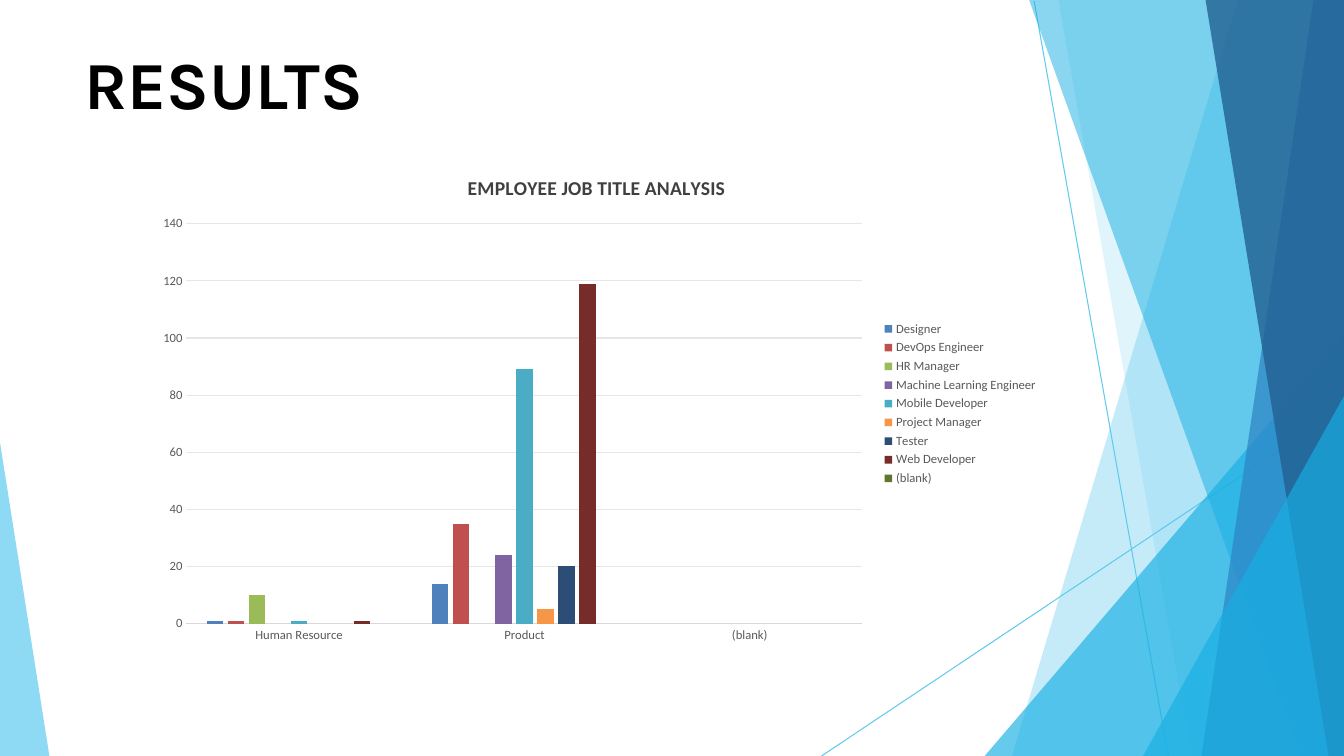
"""Build the results slide: faceted backdrop, heading and job title chart."""
from dataclasses import dataclass
from typing import Any, Optional

from lxml import etree
from pptx import Presentation
from pptx.chart.data import CategoryChartData
from pptx.dml.color import RGBColor
from pptx.enum.chart import XL_CHART_TYPE, XL_LEGEND_POSITION, XL_TICK_MARK
from pptx.enum.shapes import MSO_CONNECTOR
from pptx.enum.text import MSO_ANCHOR, MSO_AUTO_SIZE
from pptx.oxml.ns import qn
from pptx.util import Pt

WIDTH, HEIGHT = 960, 540
COLOURS = {
    "sky": "5FCAEE", "cyan": "17AFE3", "blue": "2D83C3", "navy": "226192",
    "heading": "000000", "chart_title": "404040", "label": "595959",
    "axis": "D9D9D9", "grid": "E6E6E6",
}
Point = tuple[float, float]


@dataclass(frozen=True)
class Ray:
    start: Point
    end: Point


@dataclass(frozen=True)
class Facet:
    points: tuple[Point, ...]
    colour: str
    opacity: int


@dataclass(frozen=True)
class JobTitle:
    name: str
    colour: str
    human_resource: Optional[int] = None
    product: Optional[int] = None


def right_band(top: float, bottom: float, colour: str, opacity: int) -> Facet:
    points = ((WIDTH, 0), (top, 0), (bottom, HEIGHT), (WIDTH, HEIGHT))
    return Facet(points, colour, opacity)


def right_corner(top: float, left: float) -> Facet:
    return Facet(((WIDTH, top), (left, HEIGHT), (WIDTH, HEIGHT)), "cyan", 66)


RAYS = (
    Ray((738.7, 0.7), (834.5, HEIGHT)),
    Ray((WIDTH, 290.9), (586.8, HEIGHT)),
)
FACETS = (
    right_band(884.2, 722.9, "sky", 36),
    right_band(756, 851, "sky", 20),
    right_corner(239.8, 703.4),
    right_band(735.1, 929.5, "cyan", 50),
    right_band(938.2, 858.2, "blue", 70),
    right_band(861.1, 949, "navy", 80),
    right_corner(283, 816.5),
    Facet(((0, 316.1), (0, HEIGHT), (35.3, HEIGHT)), "sky", 70),
)
DEPARTMENTS = ("Human Resource", "Product", "(blank)")
JOB_TITLES = (
    JobTitle("Designer", "4F81BD", 1, 14),
    JobTitle("DevOps Engineer", "C0504D", 1, 35),
    JobTitle("HR Manager", "9BBB59", 10),
    JobTitle("Machine Learning Engineer", "8064A2", None, 24),
    JobTitle("Mobile Developer", "4BACC6", 1, 89),
    JobTitle("Project Manager", "F79646", None, 5),
    JobTitle("Tester", "2C4D75", None, 20),
    JobTitle("Web Developer", "772C2A", 1, 119),
    JobTitle("(blank)", "5F7530"),
)


def apply_format(target: Any, values: dict[str, Any]) -> None:
    for name, value in values.items():
        setattr(target, name, value)


def style_font(font: Any, name: str, size: float, colour: str, bold: bool = False) -> None:
    apply_format(font, {"name": name, "size": Pt(size), "bold": bold})
    font.color.rgb = RGBColor.from_string(COLOURS[colour])


def style_line(line: Any, colour: str) -> None:
    line.color.rgb = RGBColor.from_string(COLOURS[colour])
    line.width = Pt(0.75)


def draw_ray(page: Any, ray: Ray) -> None:
    ends = [Pt(value) for value in (*ray.start, *ray.end)]
    connector = page.shapes.add_connector(MSO_CONNECTOR.STRAIGHT, *ends)
    style_line(connector.line, "sky")
    etree.SubElement(connector._element.spPr, qn("a:effectLst"))


def draw_facet(page: Any, facet: Facet) -> None:
    corners = [(Pt(x), Pt(y)) for x, y in facet.points]
    builder = page.shapes.build_freeform(*corners[0])
    builder.add_line_segments(corners[1:], close=True)
    shape = builder.convert_to_shape()
    shape.shadow.inherit = False
    shape.line.fill.background()
    shape.fill.solid()
    shape.fill.fore_color.rgb = RGBColor.from_string(COLOURS[facet.colour])
    colour = shape._element.spPr.find(qn("a:solidFill"))[0]
    etree.SubElement(colour, qn("a:alpha"), val=str(facet.opacity * 1000))


def draw_heading(page: Any) -> None:
    box = page.shapes.add_textbox(Pt(60), Pt(30), Pt(841), Pt(58))
    apply_format(box.text_frame, {
        "word_wrap": True, "auto_size": MSO_AUTO_SIZE.SHAPE_TO_FIT_TEXT,
        "vertical_anchor": MSO_ANCHOR.TOP, "margin_left": 0, "margin_right": 0,
        "margin_top": 0, "margin_bottom": 0,
    })
    span = box.text_frame.paragraphs[0].add_run()
    span.text = "RESULTS"
    style_font(span.font, "Karla", 48, "heading", bold=True)


def draw_chart(page: Any) -> None:
    data = CategoryChartData()
    data.categories = DEPARTMENTS
    for job in JOB_TITLES:
        data.add_series(job.name, (job.human_resource, job.product, None))
    chart = page.shapes.add_chart(
        XL_CHART_TYPE.COLUMN_CLUSTERED, Pt(103.7), Pt(110.9), Pt(645), Pt(355), data
    ).chart
    style_font(chart.font, "Calibri", 10, "heading")

    title = chart.chart_title.text_frame.paragraphs[0].add_run()
    title.text = "EMPLOYEE JOB TITLE ANALYSIS"
    style_font(title.font, "Calibri", 14, "chart_title", bold=True)
    chart.chart_title.include_in_layout = False

    chart.has_legend = True
    apply_format(chart.legend, {
        "position": XL_LEGEND_POSITION.RIGHT, "include_in_layout": False,
    })
    style_font(chart.legend.font, "Calibri", 9, "label")

    for axis in (chart.category_axis, chart.value_axis):
        apply_format(axis, {
            "major_tick_mark": XL_TICK_MARK.NONE, "minor_tick_mark": XL_TICK_MARK.NONE,
        })
        style_font(axis.tick_labels.font, "Calibri", 9, "label")
    style_line(chart.category_axis.format.line, "axis")
    apply_format(chart.value_axis, {
        "minimum_scale": 0, "maximum_scale": 140, "major_unit": 20,
        "has_major_gridlines": True,
    })
    chart.value_axis.format.line.fill.background()
    style_line(chart.value_axis.major_gridlines.format.line, "grid")

    plot = chart.plots[0]
    apply_format(plot, {"gap_width": 246, "overlap": -28, "vary_by_categories": False})
    for series, job in zip(plot.series, JOB_TITLES):
        series.format.fill.solid()
        series.format.fill.fore_color.rgb = RGBColor.from_string(job.colour)


def main() -> None:
    deck = Presentation()
    apply_format(deck, {"slide_width": Pt(WIDTH), "slide_height": Pt(HEIGHT)})
    page = deck.slides.add_slide(deck.slide_layouts[6])
    for ray in RAYS:
        draw_ray(page, ray)
    for facet in FACETS:
        draw_facet(page, facet)
    draw_heading(page)
    draw_chart(page)
    deck.save("out.pptx")


if __name__ == "__main__":
    main()
